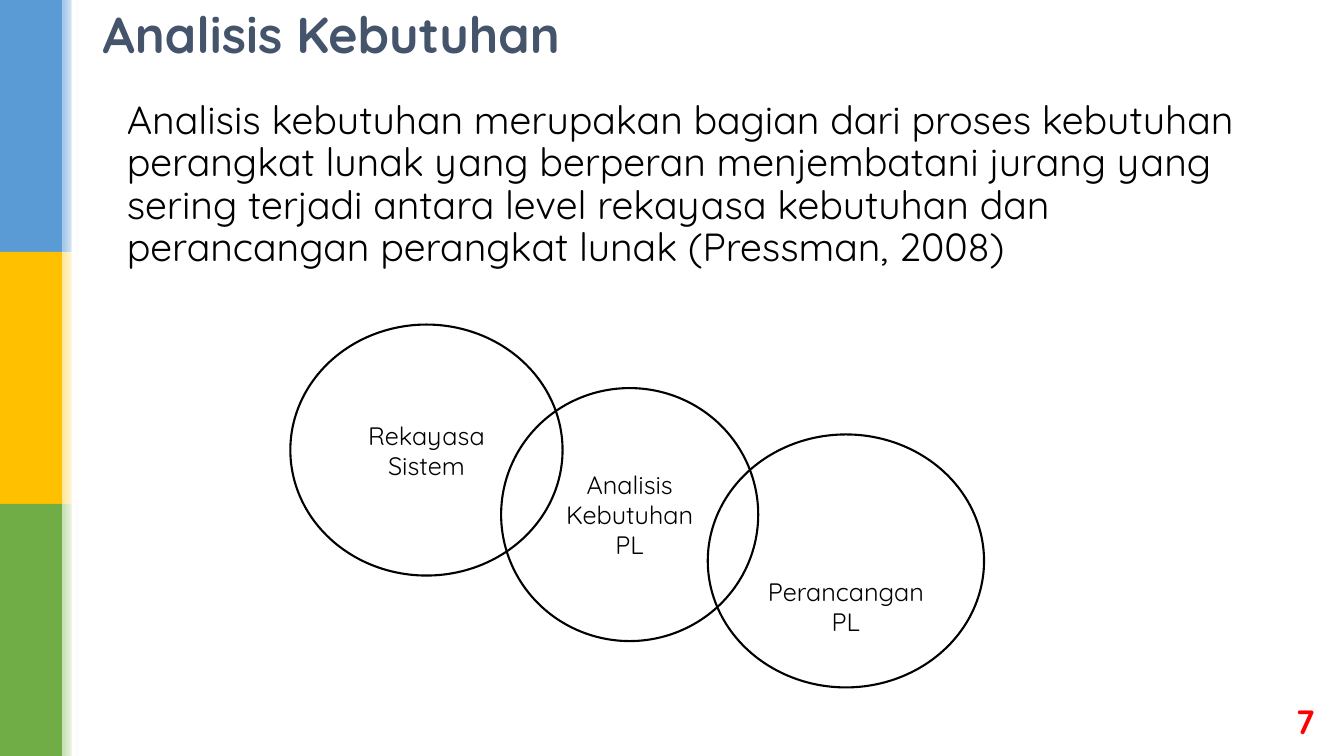
"""Build the slide "Analisis Kebutuhan" with three overlapping circles."""
from pptx import Presentation
from pptx import util as u
from pptx.dml.color import RGBColor
from pptx.enum import shapes, text

COLORS = {
    "white": "FFFFFF", "black": "000000", "title": "44546A", "number": "FF0000",
    "blue": "5B9BD5", "pale blue": "9DC3E6",
    "yellow": "FFC000", "pale yellow": "FFE699",
    "green": "70AD47", "pale green": "C5E0B4",
}


def write(frame, words, size=18, color="black", bold=False, align=text.PP_ALIGN.LEFT,
          anchor=text.MSO_ANCHOR.MIDDLE, spacing=None):
    frame.word_wrap = True
    frame.vertical_anchor = anchor
    for index, line in enumerate(words.split("\n")):
        paragraph = frame.paragraphs[0] if index == 0 else frame.add_paragraph()
        paragraph.alignment = align
        paragraph.line_spacing = spacing
        run = paragraph.add_run()
        run.text = line
        run.font.name = "Quicksand"
        run.font.size = u.Pt(size)
        run.font.bold = bold
        run.font.color.rgb = RGBColor.from_string(COLORS[color])


def add_outline(kind, *box):
    outline = slide.shapes.add_shape(kind, *map(u.Inches, box))
    outline.shadow.inherit = False
    outline.fill.background()
    outline.line.fill.background()
    return outline


prs = Presentation()
prs.slide_width, prs.slide_height = u.Inches(13.33), u.Inches(7.5)
slide = prs.slides.add_slide(prs.slide_layouts[6])

RECTANGLE = shapes.MSO_SHAPE.RECTANGLE
for row, hue in enumerate(("blue", "yellow", "green")):
    band = add_outline(RECTANGLE, 0, 2.5 * row, 0.62, 2.5)
    band.fill.solid()
    band.fill.fore_color.rgb = RGBColor.from_string(COLORS[hue])

    fade = add_outline(RECTANGLE, 0.62, 2.5 * row, 0.16, 2.5)
    fade.fill.gradient()
    fade.fill.gradient_angle = 0
    for stop, shade in zip(fade.fill.gradient_stops, (f"pale {hue}", "white")):
        stop.color.rgb = RGBColor.from_string(COLORS[shade])

divider = add_outline(RECTANGLE, 0.71, 0, 0.05, 7.5)
divider.fill.solid()
divider.fill.fore_color.rgb = RGBColor.from_string(COLORS["white"])

page_number = slide.shapes.add_textbox(*map(u.Inches, (9.56, 6.95, 3.58, 0.4)))
write(page_number.text_frame, "7", size=24, color="number", bold=True,
      align=text.PP_ALIGN.RIGHT)

definition = slide.shapes.add_textbox(*map(u.Inches, (1.16, 0.95, 11.5, 6.16)))
write(definition.text_frame,
      "Analisis kebutuhan merupakan bagian dari proses kebutuhan perangkat lunak "
      "yang berperan menjembatani jurang yang sering terjadi antara level rekayasa "
      "kebutuhan dan perancangan perangkat lunak (Pressman, 2008)",
      size=28, anchor=text.MSO_ANCHOR.TOP, spacing=0.9)

title = slide.shapes.add_textbox(*map(u.Inches, (0.92, 0.02, 11.5, 0.69)))
write(title.text_frame, "Analisis Kebutuhan", size=36, color="title", bold=True,
      spacing=0.9)

stages = [
    ("Rekayasa\nSistem", (2.88, 3.22, 2.7, 2.49), 0.05),
    ("Analisis Kebutuhan PL", (4.97, 3.85, 2.55, 2.51), 0.05),
    ("Perancangan PL", (7.02, 4.31, 2.74, 2.51), 0.95),
]
for label, box, top_inset in stages:
    stage = add_outline(shapes.MSO_SHAPE.OVAL, *box)
    stage.line.color.rgb = RGBColor.from_string(COLORS["black"])
    stage.line.width = u.Pt(1.5)
    stage.text_frame.margin_top = u.Inches(top_inset)
    write(stage.text_frame, label, align=text.PP_ALIGN.CENTER)

prs.save("out.pptx")
